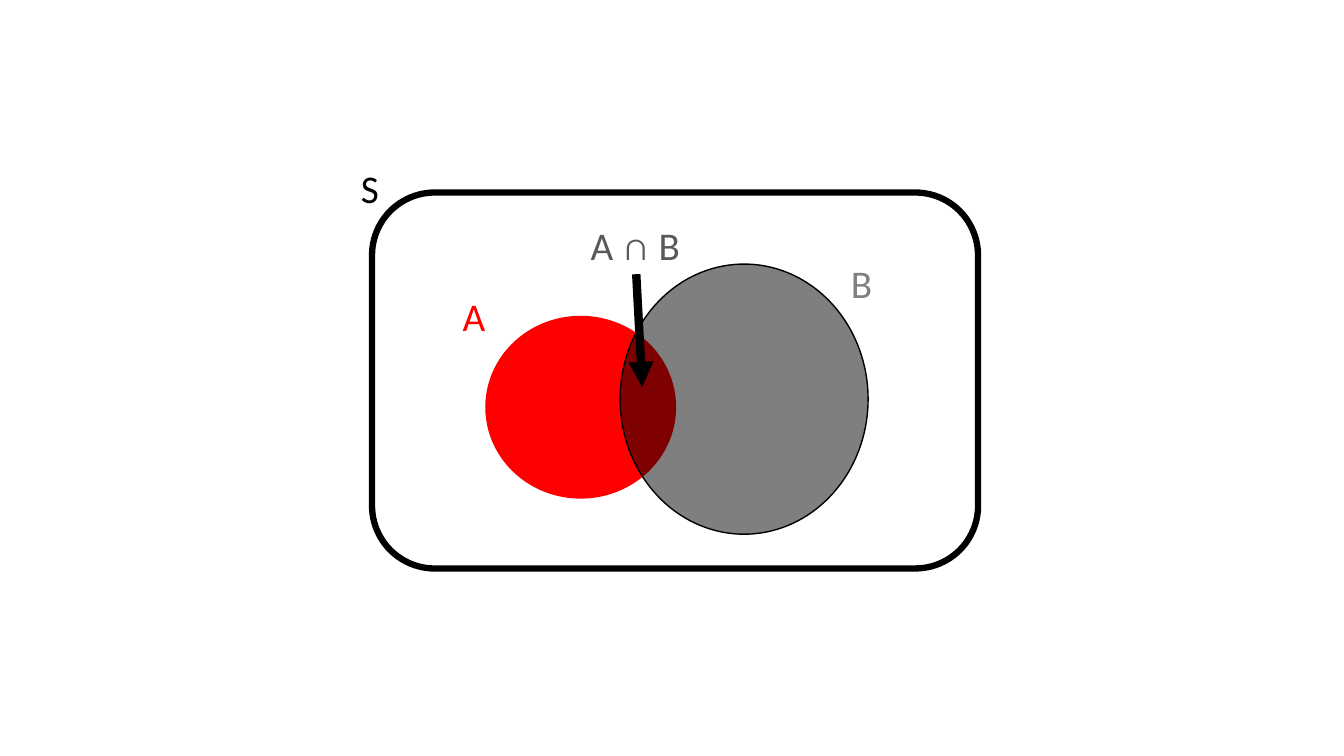
"""Builds a slide with a Venn diagram of events A and B in a sample space S."""
import pptx
import pptx.dml.color
import pptx.enum.shapes
import pptx.enum.text
import pptx.oxml
import pptx.oxml.ns
import pptx.util

SHAPES = pptx.enum.shapes.MSO_SHAPE
BLACK, RED = "000000", "FF0000"


def color(hex_text):
    """Return the colour for a hex string."""
    return pptx.dml.color.RGBColor.from_string(hex_text)


def add_element(parent, tag, **attributes):
    """Append a DrawingML element to its parent."""
    element = pptx.oxml.parse_xml(f"<{tag} {pptx.oxml.ns.nsdecls('a')}/>")
    for name, value in attributes.items():
        element.set(name, value)
    parent.append(element)


class VennSlide:
    """Holds the style and the slide; lengths are percent of its width and height."""

    font_name = "Calibri"
    font_size = 28
    label_height = 7.6

    def __init__(self, presentation):
        """Add a blank slide."""
        self.column = presentation.slide_width / 100
        self.row = presentation.slide_height / 100
        self.shapes = presentation.slides.add_slide(presentation.slide_layouts[6]).shapes

    def place(self, *lengths):
        """Turn alternating shares of width and height into slide units."""
        units = (self.column, self.row) * 2
        return [round(length * unit) for length, unit in zip(lengths, units)]

    def draw_line(self, line, line_color, width):
        """Set the colour and width of a line."""
        line.color.rgb = color(line_color)
        line.width = pptx.util.Pt(width)

    def region(self, kind, box, line_color, width, fill=None, opacity=100):
        """Add an outlined region with an optional fill."""
        shape = self.shapes.add_shape(kind, *self.place(*box))
        shape.shadow.inherit = False
        self.draw_line(shape.line, line_color, width)
        if fill is None:
            shape.fill.background()
            return
        shape.fill.solid()
        shape.fill.fore_color.rgb = color(fill)
        if opacity < 100:
            solid_fill = shape.element.spPr.find(pptx.oxml.ns.qn("a:solidFill"))
            add_element(solid_fill[0], "a:alpha", val=str(opacity * 1000))

    def label(self, text, left, top, width, text_color):
        """Add a one-line label."""
        box = self.shapes.add_textbox(*self.place(left, top, width, self.label_height))
        frame = box.text_frame
        frame.word_wrap = False
        frame.auto_size = pptx.enum.text.MSO_AUTO_SIZE.SHAPE_TO_FIT_TEXT
        paragraph = frame.paragraphs[0]
        paragraph.text = text
        paragraph.font.name = self.font_name
        paragraph.font.size = pptx.util.Pt(self.font_size)
        paragraph.font.color.rgb = color(text_color)

    def arrow(self, start, end, line_color, width):
        """Add a straight arrow from start to end."""
        connector = self.shapes.add_connector(
            pptx.enum.shapes.MSO_CONNECTOR.STRAIGHT, *self.place(*start, *end))
        self.draw_line(connector.line, line_color, width)
        add_element(connector.line._get_or_add_ln(), "a:tailEnd", type="triangle")
        add_element(connector._element.spPr, "a:effectLst")


presentation = pptx.Presentation()
presentation.slide_width = pptx.util.Inches(13.33)
presentation.slide_height = pptx.util.Inches(7.5)

venn = VennSlide(presentation)
venn.region(SHAPES.ROUNDED_RECTANGLE, (27.68, 25.47, 45.09, 49.73), BLACK, 4.5)
venn.region(SHAPES.OVAL, (36.16, 41.87, 14.1, 24), RED, 1, RED)
venn.region(SHAPES.OVAL, (46.14, 34.93, 18.45, 35.73), BLACK, 1, BLACK, opacity=50)
venn.label("A", 33.68, 38, 3.23, RED)
venn.label("B", 62.57, 33.6, 3.23, "808080")
venn.label("A ∩ B", 43.21, 28.67, 8.25, "595959")
venn.arrow((47.34, 36.27), (47.79, 51.2), BLACK, 6)
venn.label("S", 26.11, 21.07, 2.85, BLACK)

presentation.save("out.pptx")
